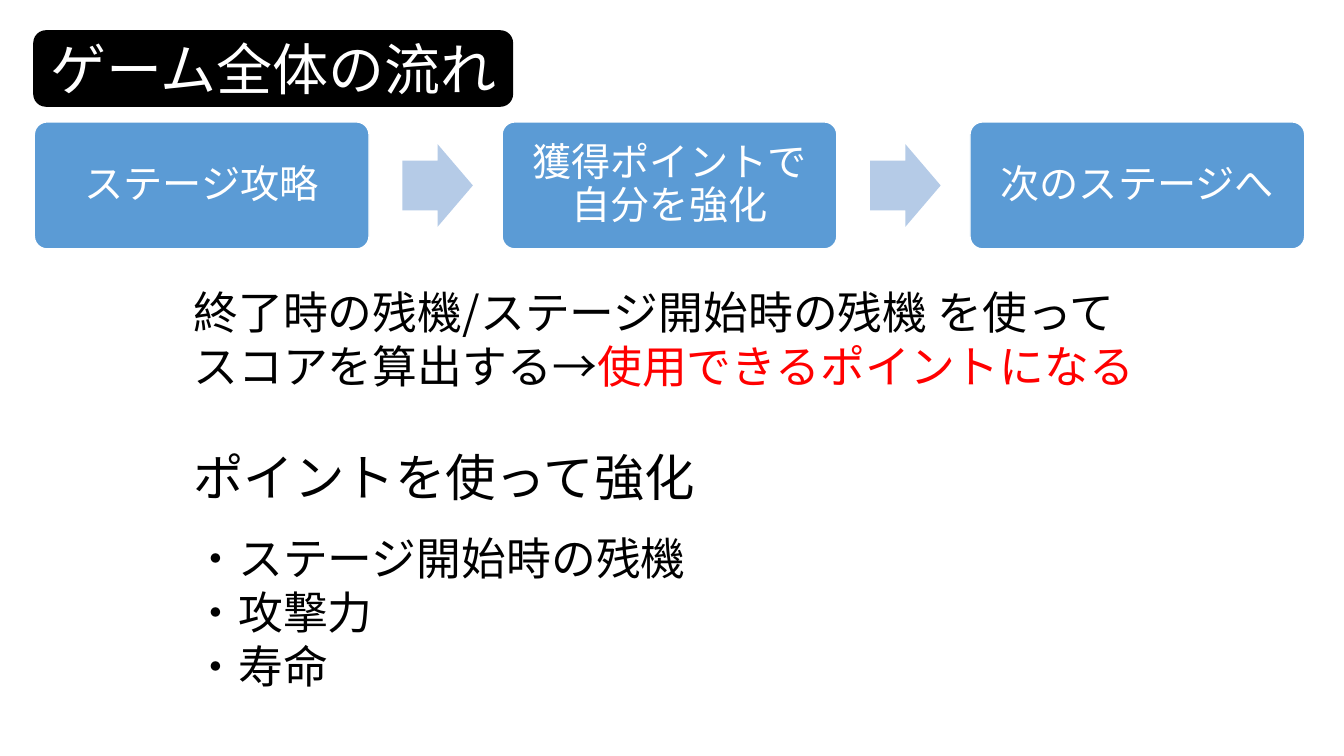
from lxml.etree import SubElement
from pptx import Presentation
from pptx.dml.color import RGBColor
from pptx.enum.shapes import MSO_SHAPE
from pptx.enum.text import MSO_ANCHOR, MSO_AUTO_SIZE, PP_ALIGN
from pptx.oxml.ns import qn
from pptx.util import Inches, Pt

# Content
TITLE = "ゲーム全体の流れ"
STEPS = ["ステージ攻略", "獲得ポイントで\n自分を強化", "次のステージへ"]
# Each paragraph: size name, space before in points, [(text, colour name)]
DETAILS = [
    ("body", 0, [("終了時の残機/ステージ開始時の残機 を使って", "text")]),
    ("body", 0, [("スコアを算出する→", "text"), ("使用できるポイントになる", "accent")]),
    ("heading", 38.5, [("ポイントを使って強化", "text")]),
    ("body", 17, [("・ステージ開始時の残機", "text")]),
    ("body", 0, [("・攻撃力", "text")]),
    ("body", 0, [("・寿命", "text")]),
]

THEME = {
    "font": "Noto Sans CJK JP",
    "colours": {"text": "000000", "accent": "FF0000", "white": "FFFFFF",
                "title": "000000", "step": "5B9BD5", "arrow": "B5CBE7"},
    "sizes": {"title": 40, "heading": 36, "body": 32, "step": 28},
}

# Layout in inches
TITLE_BOX = (0.33, 0.3, 4.76, 0.76)
DETAILS_BOX = (1.82, 2.78, 9.65, 4.17)
STEP_LEFT, STEP_TOP, STEP_WIDTH, STEP_HEIGHT = 0.34, 1.21, 3.32, 1.26
STEP_PITCH = 4.64
ARROW_WIDTH, ARROW_HEIGHT, ARROW_GAP = 0.7, 0.82, 0.33


def colour(name):
    return RGBColor.from_string(THEME["colours"][name])


def set_values(target, values):
    for name, value in values.items():
        setattr(target, name, value)


def format_run(run, size, colour_name):
    set_values(run.font, {"name": THEME["font"], "size": Pt(THEME["sizes"][size])})
    run.font.color.rgb = colour(colour_name)
    east_asian = SubElement(run.font._element, qn("a:ea"))
    east_asian.set("typeface", THEME["font"])


def add_block(slide, kind, box, fill, adjustments=(), outline=None):
    shape = slide.shapes.add_shape(kind, *map(Inches, box))
    shape.shadow.inherit = False
    shape.fill.solid()
    shape.fill.fore_color.rgb = colour(fill)
    if outline:
        shape.line.color.rgb = colour(outline)
        shape.line.width = Pt(1)
    else:
        shape.line.fill.background()
    for index, value in enumerate(adjustments):
        shape.adjustments[index] = value
    return shape


def write_label(shape, text, size, line_spacing=1.0):
    shape.text_frame.vertical_anchor = MSO_ANCHOR.MIDDLE
    paragraph = shape.text_frame.paragraphs[0]
    paragraph.text = text
    set_values(paragraph, {"alignment": PP_ALIGN.CENTER, "line_spacing": line_spacing})
    for run in paragraph.runs:
        format_run(run, size, "white")


def add_steps(slide):
    margins = dict.fromkeys(
        ("margin_left", "margin_right", "margin_top", "margin_bottom"), Inches(0.16))
    arrow_top = STEP_TOP + (STEP_HEIGHT - ARROW_HEIGHT) / 2
    for index, text in enumerate(STEPS):
        left = STEP_LEFT + index * STEP_PITCH
        step = add_block(slide, MSO_SHAPE.ROUNDED_RECTANGLE,
                         (left, STEP_TOP, STEP_WIDTH, STEP_HEIGHT), "step", [0.1], "white")
        set_values(step.text_frame, margins)
        write_label(step, text, "step", 0.9)
        if index < len(STEPS) - 1:
            arrow_left = left + STEP_WIDTH + ARROW_GAP
            add_block(slide, MSO_SHAPE.RIGHT_ARROW,
                      (arrow_left, arrow_top, ARROW_WIDTH, ARROW_HEIGHT), "arrow", [0.6, 0.5])


def add_details(slide):
    frame = slide.shapes.add_textbox(*map(Inches, DETAILS_BOX)).text_frame
    set_values(frame, {"word_wrap": False, "auto_size": MSO_AUTO_SIZE.SHAPE_TO_FIT_TEXT})
    for index, (size, space, runs) in enumerate(DETAILS):
        paragraph = frame.add_paragraph() if index else frame.paragraphs[0]
        paragraph.space_before = Pt(space)
        for text, colour_name in runs:
            run = paragraph.add_run()
            run.text = text
            format_run(run, size, colour_name)


def main():
    presentation = Presentation()
    set_values(presentation, {"slide_width": Inches(13.33), "slide_height": Inches(7.5)})
    slide = presentation.slides.add_slide(presentation.slide_layouts[6])

    # Flow of the game
    add_steps(slide)

    # Title
    title = add_block(slide, MSO_SHAPE.ROUNDED_RECTANGLE, TITLE_BOX, "title")
    write_label(title, TITLE, "title")

    # Scoring and upgrades
    add_details(slide)
    presentation.save("out.pptx")


if __name__ == "__main__":
    main()
